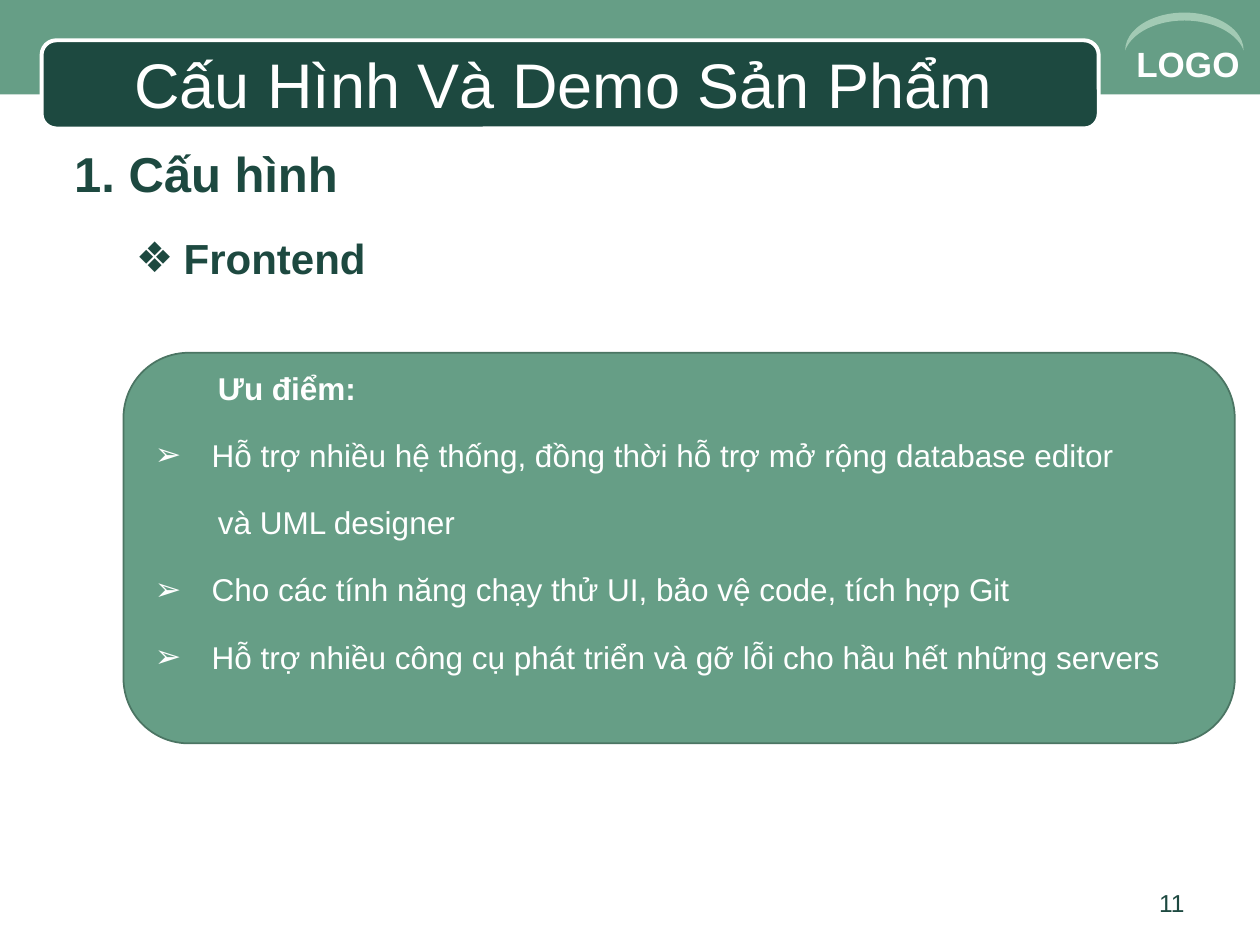
from lxml import etree
from pptx import Presentation
from pptx.dml.color import RGBColor
from pptx.enum.shapes import MSO_SHAPE
from pptx.enum.text import MSO_ANCHOR, PP_ALIGN
from pptx.oxml.ns import qn
from pptx.util import Inches, Pt

RECT, ROUND, MOON = MSO_SHAPE.RECTANGLE, MSO_SHAPE.ROUNDED_RECTANGLE, MSO_SHAPE.MOON
LEFT, MID, RIGHT = PP_ALIGN.LEFT, PP_ALIGN.CENTER, PP_ALIGN.RIGHT
MIDDLE, TOP = MSO_ANCHOR.MIDDLE, MSO_ANCHOR.TOP

COLORS = {"white": "FFFFFF", "dark": "1D4940", "green": "669E86",
          "edge": "4B7563", "pale": "A2CAB4"}
COLORS = {name: RGBColor.from_string(code) for name, code in COLORS.items()}

prs = Presentation()
prs.slide_width, prs.slide_height = Inches(10), Inches(7.5)
slide = prs.slides.add_slide(prs.slide_layouts[6])


def add_box(kind, place, fill=None, line=None, width=1):
    box = slide.shapes.add_shape(kind, *[Inches(n) for n in place])
    box.shadow.inherit = False
    if fill:
        box.fill.solid()
        box.fill.fore_color.rgb = COLORS[fill]
    else:
        box.fill.background()
    if line:
        box.line.color.rgb = COLORS[line]
        box.line.width = Pt(width)
    else:
        box.line.fill.background()
    return box


def set_par(par, text, size, color, bold=False, align=LEFT, left=0, first=0, mark=None):
    par.text = text
    par.alignment = align
    props = par._p.get_or_add_pPr()
    props.set("marL", str(Inches(left)))
    props.set("indent", str(Inches(first)))
    if mark:
        etree.SubElement(props, qn("a:buFont")).set("typeface", "Arial")
        etree.SubElement(props, qn("a:buChar")).set("char", mark)
    font = par.runs[0].font
    font.name, font.size, font.bold = "Arial", Pt(size), bold
    font.color.rgb = COLORS[color]


# Header band, title bar and logo arc
add_box(RECT, (0, 0, 10, 0.75), "green")
bar = add_box(ROUND, (0.33, 0.32, 8.39, 0.7), "dark", "white", 2.25)
arc = add_box(MOON, (9.25, -0.22, 0.3, 0.94), "pale")
arc.rotation = 90
arc.adjustments[0] = 0.21

# Single-line texts: place, fill, anchor, text, size, color, bold, align, mark
labels = [
    ((8.92, 0.29, 1.08, 0.43), None, TOP, "LOGO", 20, "white", True, LEFT, None),
    ((0.5, 0.35, 8.08, 0.62), None, MIDDLE, "Cấu Hình Và Demo Sản Phẩm ", 36,
     "white", False, MID, None),
    ((7.17, 7, 2.33, 0.35), None, TOP, "11", 14, "dark", False, RIGHT, None),
    ((0.49, 1.09, 2.32, 0.57), "white", TOP, "1. Cấu hình", 28, "dark", True, LEFT, None),
    ((0.98, 1.8, 2.04, 0.5), "white", TOP, "Frontend", 24, "dark", True, LEFT, "❖"),
]
for place, fill, anchor, text, size, color, bold, align, mark in labels:
    if fill:
        label = add_box(RECT, place, fill)
    else:
        label = slide.shapes.add_textbox(*[Inches(n) for n in place])
    frame = label.text_frame
    frame.word_wrap = fill is None
    frame.vertical_anchor = anchor
    hang = 0.38 if mark else 0
    set_par(frame.paragraphs[0], text, size, color, bold, align, hang, -hang, mark)

# Panel of advantages
panel = add_box(ROUND, (0.98, 2.8, 8.82, 3.1), "green", "edge")
frame = panel.text_frame
frame.word_wrap = True
frame.vertical_anchor = MIDDLE
frame.margin_bottom = Inches(0.61)
# Text, bold, left, first, mark
points = [
    ("Ưu điểm:", True, 0, 0.5, None),
    ("Hỗ trợ nhiều hệ thống, đồng thời hỗ trợ mở rộng database editor",
     False, 0.45, -0.45, "➢"),
    ("và UML designer", False, 0.5, 0, None),
    ("Cho các tính năng chạy thử UI, bảo vệ code, tích hợp Git",
     False, 0.45, -0.45, "➢"),
    ("Hỗ trợ nhiều công cụ phát triển và gỡ lỗi cho hầu hết những servers",
     False, 0.45, -0.45, "➢"),
]
for num, (text, bold, left, first, mark) in enumerate(points):
    par = frame.add_paragraph() if num else frame.paragraphs[0]
    par.line_spacing = 1.5
    if num:
        par.space_before = Pt(6)
    set_par(par, text, 18, "white", bold, LEFT, left, first, mark)

prs.save("out.pptx")
